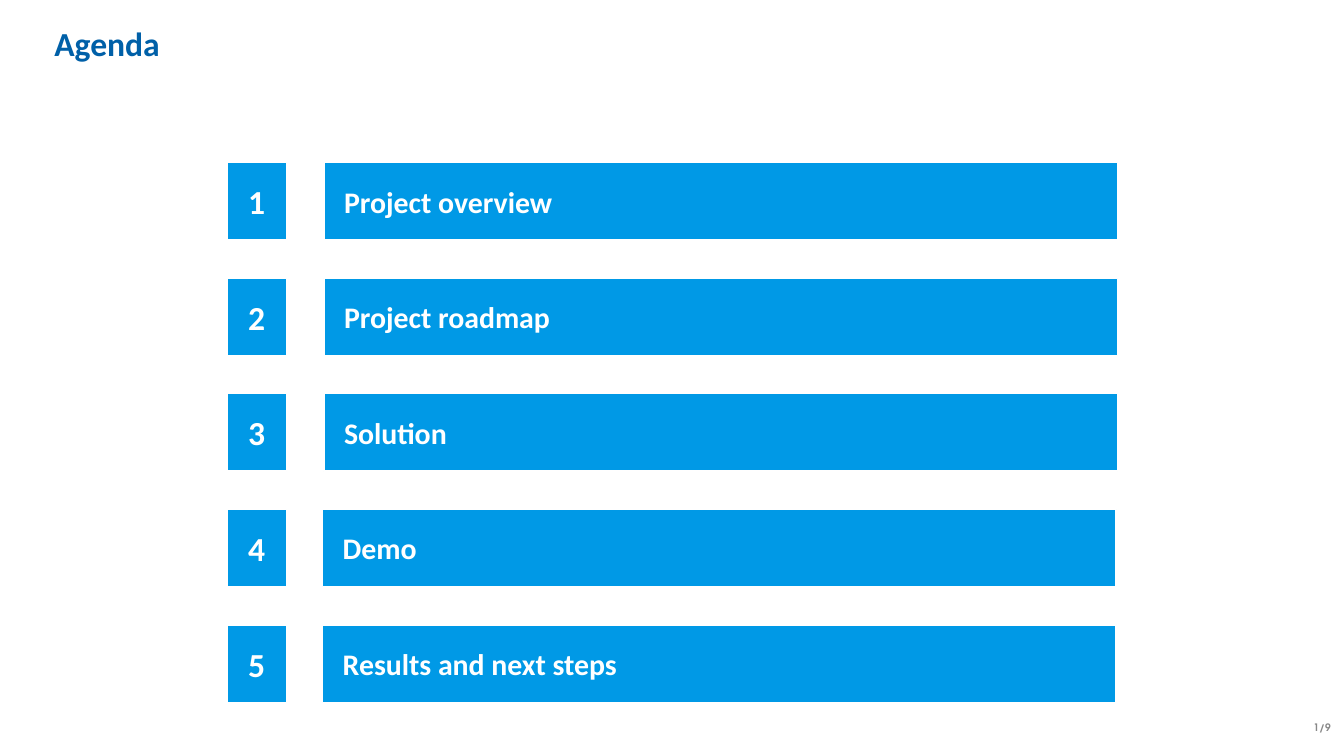
"""Build the agenda slide with five numbered topics."""
from dataclasses import dataclass

from pptx import Presentation
from pptx.dml.color import RGBColor
from pptx.enum.shapes import MSO_SHAPE
from pptx.enum.text import MSO_ANCHOR, PP_ALIGN
from pptx.util import Pt

EMU_PER_PX = 4572
RECTANGLE = MSO_SHAPE.RECTANGLE
TOP, MIDDLE = MSO_ANCHOR.TOP, MSO_ANCHOR.MIDDLE
LEFT, CENTER, RIGHT = PP_ALIGN.LEFT, PP_ALIGN.CENTER, PP_ALIGN.RIGHT


@dataclass(frozen=True)
class Theme:
    """Colours, fonts and type sizes of the slide."""
    title_color: str = "0060A8"
    block_color: str = "0099E6"
    white: str = "FFFFFF"
    page_color: str = "888888"
    font: str = "Calibri"
    page_font: str = "TeX Gyre Adventor"
    title_size: float = 18
    number_size: float = 18
    topic_size: float = 16
    page_size: float = 5.5
    outline: float = 0.75


THEME = Theme()
SLIDE_SIZE = (2000, 1125)
TOPICS = ["Project overview", "Project roadmap", "Solution", "Demo",
          "Results and next steps"]
FIRST_TOP, ROW_STEP, ROW_HEIGHT = 242, 172, 115
NUMBER_LEFT, NUMBER_WIDTH = 338, 88
TOPIC_LEFTS, TOPIC_WIDTH = [482, 482, 482, 480, 480], 1181


def px(*lengths):
    """Convert pixel lengths to EMU."""
    return [length * EMU_PER_PX for length in lengths]


def write_text(holder, text, *, size, color, font=THEME.font, align=LEFT,
               anchor=TOP, insets=(0, 0, 0, 0)):
    """Write one bold paragraph into a shape or text box."""
    frame = holder.text_frame
    frame.word_wrap = True
    frame.vertical_anchor = anchor
    (frame.margin_left, frame.margin_top,
     frame.margin_right, frame.margin_bottom) = px(*insets)
    paragraph = frame.paragraphs[0]
    paragraph.alignment = align
    run = paragraph.add_run()
    run.text = text
    run.font.name = font
    run.font.size = Pt(size)
    run.font.bold = True
    run.font.color.rgb = RGBColor.from_string(color)


def add_label(slide, bounds, text, **text_format):
    """Add a text box without fill."""
    write_text(slide.shapes.add_textbox(*px(*bounds)), text, **text_format)


def add_block(slide, bounds, text, **text_format):
    """Add a filled rectangle with white text centred vertically."""
    block = slide.shapes.add_shape(RECTANGLE, *px(*bounds))
    block.shadow.inherit = False
    block.fill.solid()
    block.fill.fore_color.rgb = RGBColor.from_string(THEME.block_color)
    block.line.color.rgb = RGBColor.from_string(THEME.white)
    block.line.width = Pt(THEME.outline)
    write_text(block, text, color=THEME.white, anchor=MIDDLE, **text_format)


def add_agenda_row(slide, index, topic, topic_left):
    """Add a topic bar and its number."""
    top = FIRST_TOP + index * ROW_STEP
    add_block(slide, (NUMBER_LEFT, top, NUMBER_WIDTH, ROW_HEIGHT),
              str(index + 1), size=THEME.number_size, align=CENTER)
    add_block(slide, (topic_left, top, TOPIC_WIDTH, ROW_HEIGHT), topic,
              size=THEME.topic_size, insets=(30, 12, 12, 12))


def main():
    """Build and save the presentation."""
    deck = Presentation()
    deck.slide_width, deck.slide_height = px(*SLIDE_SIZE)
    slide = deck.slides.add_slide(deck.slide_layouts[6])
    add_label(slide, (81, 34, 1292, 114), "Agenda",
              size=THEME.title_size, color=THEME.title_color)
    for index, (topic, topic_left) in enumerate(zip(TOPICS, TOPIC_LEFTS)):
        add_agenda_row(slide, index, topic, topic_left)
    add_label(slide, (1344, 1064, 656, 58), "1/9", size=THEME.page_size,
              color=THEME.page_color, font=THEME.page_font, align=RIGHT,
              insets=(20, 20, 20, 20))
    deck.save("out.pptx")


if __name__ == "__main__":
    main()
